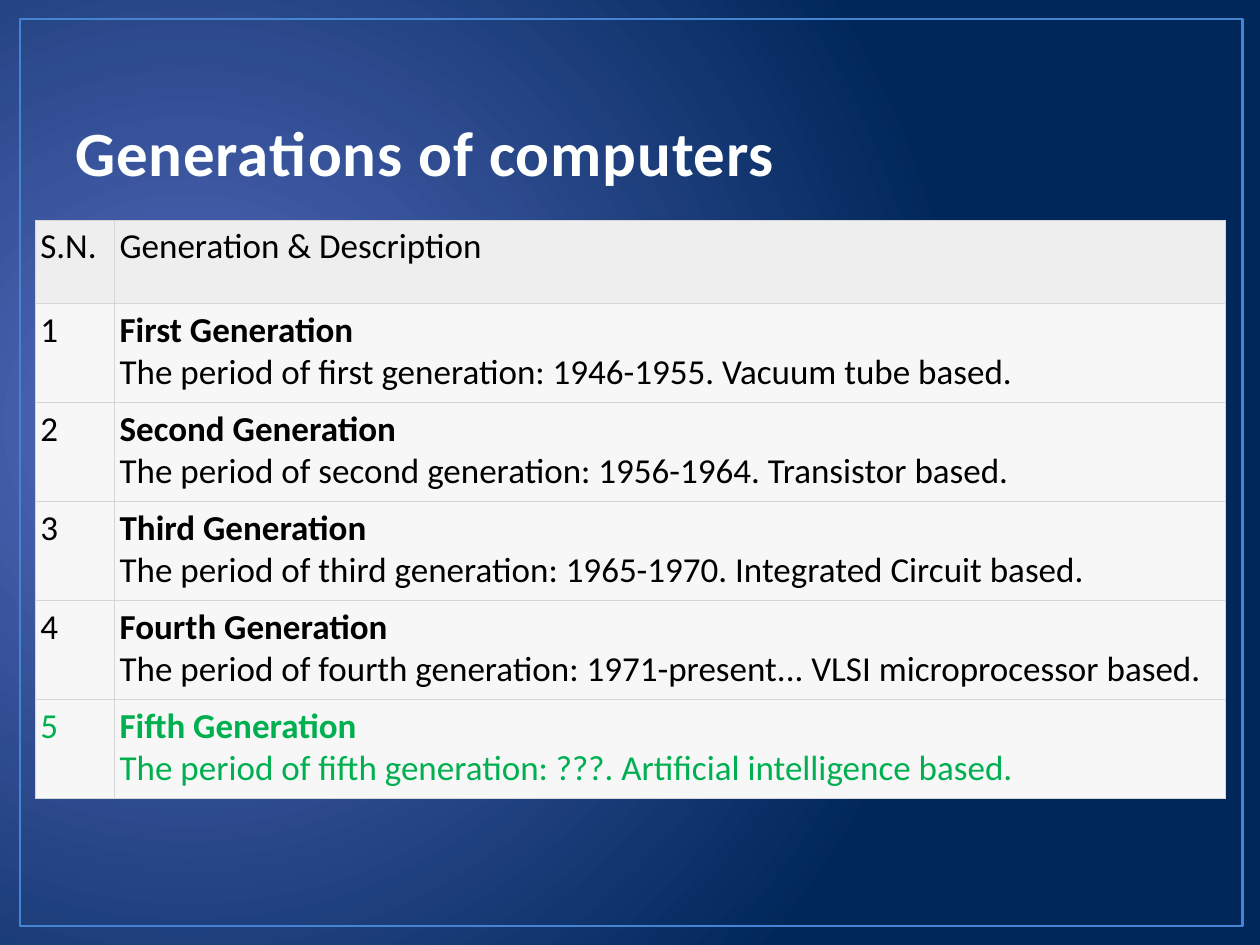
from pptx import Presentation
from pptx.dml.color import RGBColor
from pptx.enum.shapes import MSO_SHAPE
from pptx.enum.text import MSO_ANCHOR
from pptx.oxml import parse_xml
from pptx.oxml.ns import nsdecls
from pptx.util import Inches, Pt

BODY = {"name": "Calibri", "size": Pt(20), "bold": False}
HEAD = {"name": "Calibri", "size": Pt(36), "bold": True}
ROWS = [
    ("First", "1946-1955. Vacuum tube"),
    ("Second", "1956-1964. Transistor"),
    ("Third", "1965-1970. Integrated Circuit"),
    ("Fourth", "1971-present... VLSI microprocessor"),
    ("Fifth", "???. Artificial intelligence"),
]


def color(code):
    return RGBColor.from_string(code)


def line_xml(tag, width, code):
    return parse_xml(
        f'<a:{tag} {nsdecls("a")} w="{Pt(width)}"><a:solidFill>'
        f'<a:srgbClr val="{code}"/></a:solidFill></a:{tag}>')


def add_run(para, text, look, code):
    run = para.add_run()
    run.text = text
    for key, value in look.items():
        setattr(run.font, key, value)
    run.font.color.rgb = color(code)
    return run


def paint_back(slide):
    fill = slide.background.fill
    fill.gradient()
    for stop, code in zip(fill.gradient_stops, ("576CBF", "00275A")):
        stop.color.rgb = color(code)
    grad = slide.background._cSld.find(".//" + "{*}gradFill")
    grad.replace(grad.find("{*}lin"), parse_xml(
        f'<a:path {nsdecls("a")} path="circle"><a:fillToRect '
        'l="15000" t="50000" r="85000" b="60000"/></a:path>'))


def add_frame(slide, box):
    frame = slide.shapes.add_shape(MSO_SHAPE.RECTANGLE, *map(Inches, box))
    frame.shadow.inherit = False
    frame.fill.background()
    frame.line.color.rgb = color("4584D3")
    frame.line.width = Pt(1.5)


def add_title(slide, box):
    text = slide.shapes.add_textbox(*map(Inches, box)).text_frame
    text.word_wrap = True
    text.vertical_anchor = MSO_ANCHOR.BOTTOM
    run = add_run(text.paragraphs[0], "Generations of computers", HEAD, "FEFFFF")
    props = run.font._element
    props.set("spc", "50")
    props.insert(0, line_xml("ln", 1.05, "016296"))


def style_cell(cell, code):
    for side in ("left", "right", "top", "bottom"):
        setattr(cell, f"margin_{side}", Inches(0.04))
    cell.fill.solid()
    cell.fill.fore_color.rgb = color(code)
    props = cell._tc.get_or_add_tcPr()
    for spot, tag in enumerate(("lnL", "lnR", "lnT", "lnB")):
        props.insert(spot, line_xml(tag, 0.75, "D6D6D6"))


def add_grid(slide, box):
    count = len(ROWS) + 1
    grid = slide.shapes.add_table(count, 2, *map(Inches, box)).table
    first, top = 0.63, 0.66
    for col, width in zip(grid.columns, (first, box[2] - first)):
        col.width = Inches(width)
    step = (box[3] - top) / len(ROWS)
    for row, height in zip(grid.rows, [top] + [step] * len(ROWS)):
        row.height = Inches(height)
    for spot, label in enumerate(("S.N.", "Generation & Description")):
        cell = grid.cell(0, spot)
        style_cell(cell, "EEEEEE")
        add_run(cell.text_frame.paragraphs[0], label, BODY, "000000")
    for num, (name, facts) in enumerate(ROWS, 1):
        ink = "00B050" if num == len(ROWS) else "000000"
        paras = []
        for spot in range(2):
            cell = grid.cell(num, spot)
            style_cell(cell, "F7F7F7")
            paras.append(cell.text_frame.paragraphs[0])
        add_run(paras[0], str(num), BODY, ink)
        add_run(paras[1], f"{name} Generation", BODY | {"bold": True}, ink)
        paras[1].add_line_break()
        add_run(paras[1], f"The period of {name.lower()} generation: {facts} based.",
                BODY, ink)


def main():
    deck = Presentation()
    deck.slide_width, deck.slide_height = Inches(10), Inches(7.5)
    slide = deck.slides.add_slide(deck.slide_layouts[6])
    paint_back(slide)
    add_frame(slide, (0.16, 0.15, 9.7, 7.2))
    add_title(slide, (0.5, 0.3, 9, 1.25))
    add_grid(slide, (0.28, 1.75, 9.45, 4.59))
    deck.save("out.pptx")


if __name__ == "__main__":
    main()
